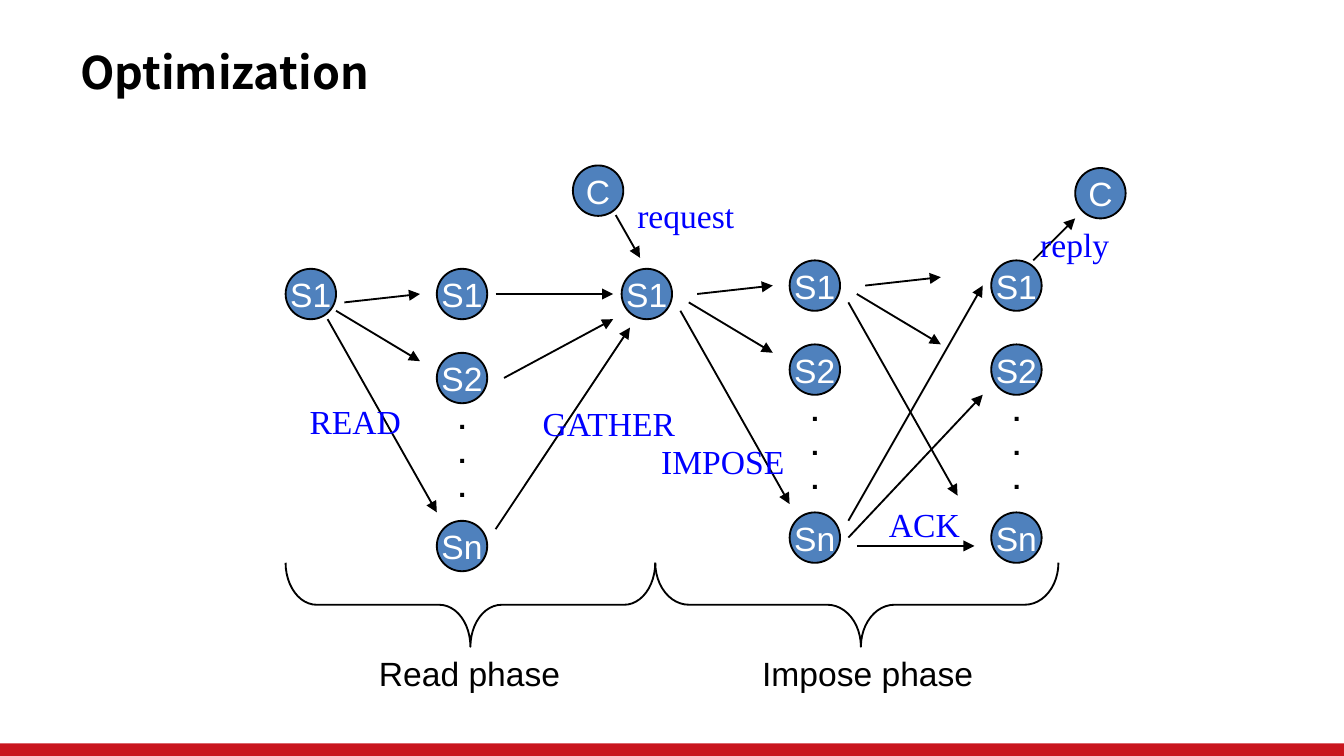
"""Build the Optimization slide: a read phase and an impose phase of messages between servers."""
from lxml import etree
from pptx import Presentation, util as u
from pptx.dml.color import RGBColor
from pptx.enum import shapes, text
from pptx.oxml.ns import qn

COLORS = {"bar": "C9151E", "node": "4F81BD", "ink": "000000", "label": "0000FF", "white": "FFFFFF"}

prs = Presentation()
prs.slide_width, prs.slide_height = u.Inches(10), u.Inches(5.625)
s = prs.slides.add_slide(prs.slide_layouts[6])
COL, ROW = prs.slide_width / 160, prs.slide_height / 90


def grid(x, y, w, h):
    return int(x * COL), int(y * ROW), int(w * COL), int(h * ROW)


def write(sp, lines, size, font, color, bold=False, align=text.PP_ALIGN.CENTER, anchor=text.MSO_ANCHOR.TOP):
    tf = sp.text_frame
    tf.word_wrap = False
    tf.vertical_anchor = anchor
    for i, line in enumerate(lines):
        p = tf.paragraphs[0] if i == 0 else tf.add_paragraph()
        p.alignment = align
        r = p.add_run()
        r.text = line
        r.font.size, r.font.name, r.font.bold = u.Pt(size), font, bold
        r.font.color.rgb = RGBColor.from_string(COLORS[color])
    return tf


bar = s.shapes.add_shape(shapes.MSO_SHAPE.RECTANGLE, *grid(0, 88.5, 160, 1.5))
bar.shadow.inherit = False
bar.fill.solid()
bar.fill.fore_color.rgb = RGBColor.from_string(COLORS["bar"])
bar.line.fill.background()

title = s.shapes.add_textbox(*grid(8, 4.6, 111.4, 7.8))
write(title, ["Optimization"], 24, "Noto Sans CJK SC", "ink", True, text.PP_ALIGN.LEFT, text.MSO_ANCHOR.MIDDLE)

nodes = [("S1", 34, 32), ("S1", 74, 32), ("C", 68.2, 19.7), ("C", 128, 20)]
for col, row in [(52, 32), (94, 31), (118, 31)]:
    nodes += [("S1", col, row), ("S2", col, row + 10), ("Sn", col, row + 30)]
    dots = s.shapes.add_textbox(*grid(col + 1, row + 15, 4, 13.8))
    tf = write(dots, "...", 15, "Arial", "ink", True)
    tf.word_wrap = True
    for p in tf.paragraphs:
        p.line_spacing = u.Pt(18.2)

for name, x, y in nodes:
    sp = s.shapes.add_shape(shapes.MSO_SHAPE.OVAL, *grid(x, y, 6, 6))
    sp.shadow.inherit = False
    sp.fill.solid()
    sp.fill.fore_color.rgb = RGBColor.from_string(COLORS["node"])
    sp.line.color.rgb = RGBColor.from_string(COLORS["ink"])
    sp.line.width = u.Pt(1)
    tf = write(sp, [name], 18, "Arial", "white", anchor=text.MSO_ANCHOR.MIDDLE)
    tf.margin_left = tf.margin_right = tf.margin_top = tf.margin_bottom = 0

arrows = [
    (59, 35, 73, 35), (60, 45, 73, 38), (59, 63, 75, 39),
    (101, 62, 117, 34), (101, 64, 117, 47), (102, 65, 116, 65),
    (73.3, 25.6, 76.2, 30.7), (123, 31, 128, 26),
]
fan = [(7, 4, 16, 3), (6, 5, 16, 11), (5, 6, 18, 29)]
for x, y in [(34, 32), (76, 31), (96, 30)]:
    arrows += [(x + x1, y + y1, x + x2, y + y2) for x1, y1, x2, y2 in fan]

for ends in arrows:
    arrow = s.shapes.add_connector(shapes.MSO_CONNECTOR.STRAIGHT, *grid(*ends))
    arrow.line.color.rgb = RGBColor.from_string(COLORS["ink"])
    arrow.line.width = u.Pt(1)
    etree.SubElement(arrow.line._get_or_add_ln(), qn("a:tailEnd"), type="triangle")
    etree.SubElement(arrow._element.spPr, qn("a:effectLst"))

braces = [
    (shapes.MSO_SHAPE.LEFT_BRACE, (51, 50, 10, 44), 270, (0.37, 0.5)),
    (shapes.MSO_SHAPE.RIGHT_BRACE, (97, 48, 10, 48), 90, (0.4, 0.49)),
]
for kind, place, turn, (curve, tip) in braces:
    brace = s.shapes.add_shape(kind, *grid(*place))
    brace.shadow.inherit = False
    brace.rotation = turn
    brace.adjustments[0], brace.adjustments[1] = curve, tip
    brace.fill.background()
    brace.line.color.rgb = RGBColor.from_string(COLORS["ink"])
    brace.line.width = u.Pt(1)

labels = [
    ("READ", 35.2, 47, 14.2, "Times New Roman", "label"),
    ("GATHER", 62.9, 47.2, 19.2, "Times New Roman", "label"),
    ("IMPOSE", 77, 51.7, 18.1, "Times New Roman", "label"),
    ("ACK", 104.2, 59.2, 11.7, "Times New Roman", "label"),
    ("request", 74.2, 22.4, 14.9, "Times New Roman", "label"),
    ("reply", 122.2, 25.9, 11.5, "Times New Roman", "label"),
    ("Read phase", 43.4, 77, 25, "Arial", "ink"),
    ("Impose phase", 89, 77, 28.6, "Arial", "ink"),
]
for words, x, y, w, font, color in labels:
    tf = write(s.shapes.add_textbox(*grid(x, y, w, 6.4)), [words], 18, font, color)
    tf.auto_size = text.MSO_AUTO_SIZE.SHAPE_TO_FIT_TEXT

prs.save("out.pptx")
